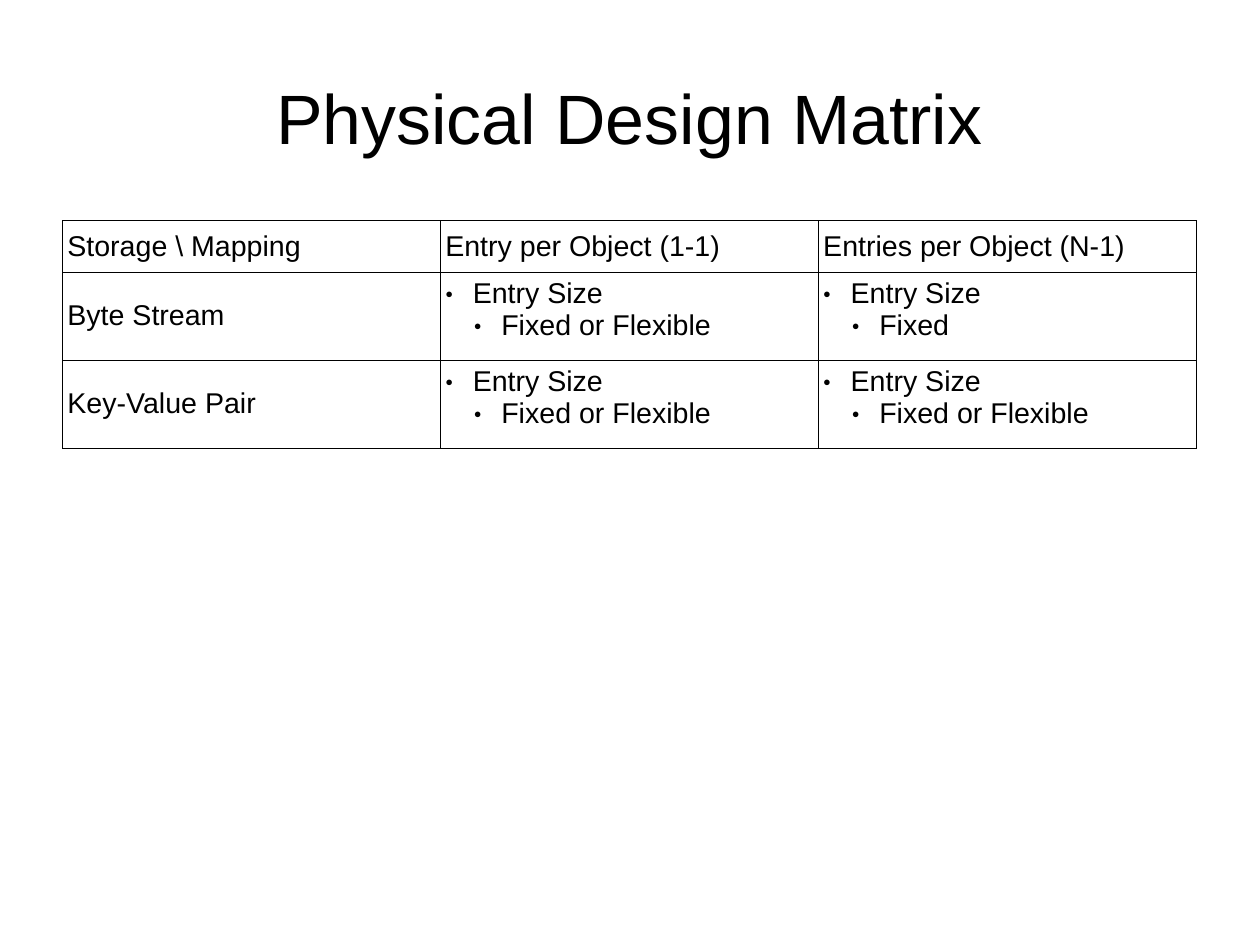
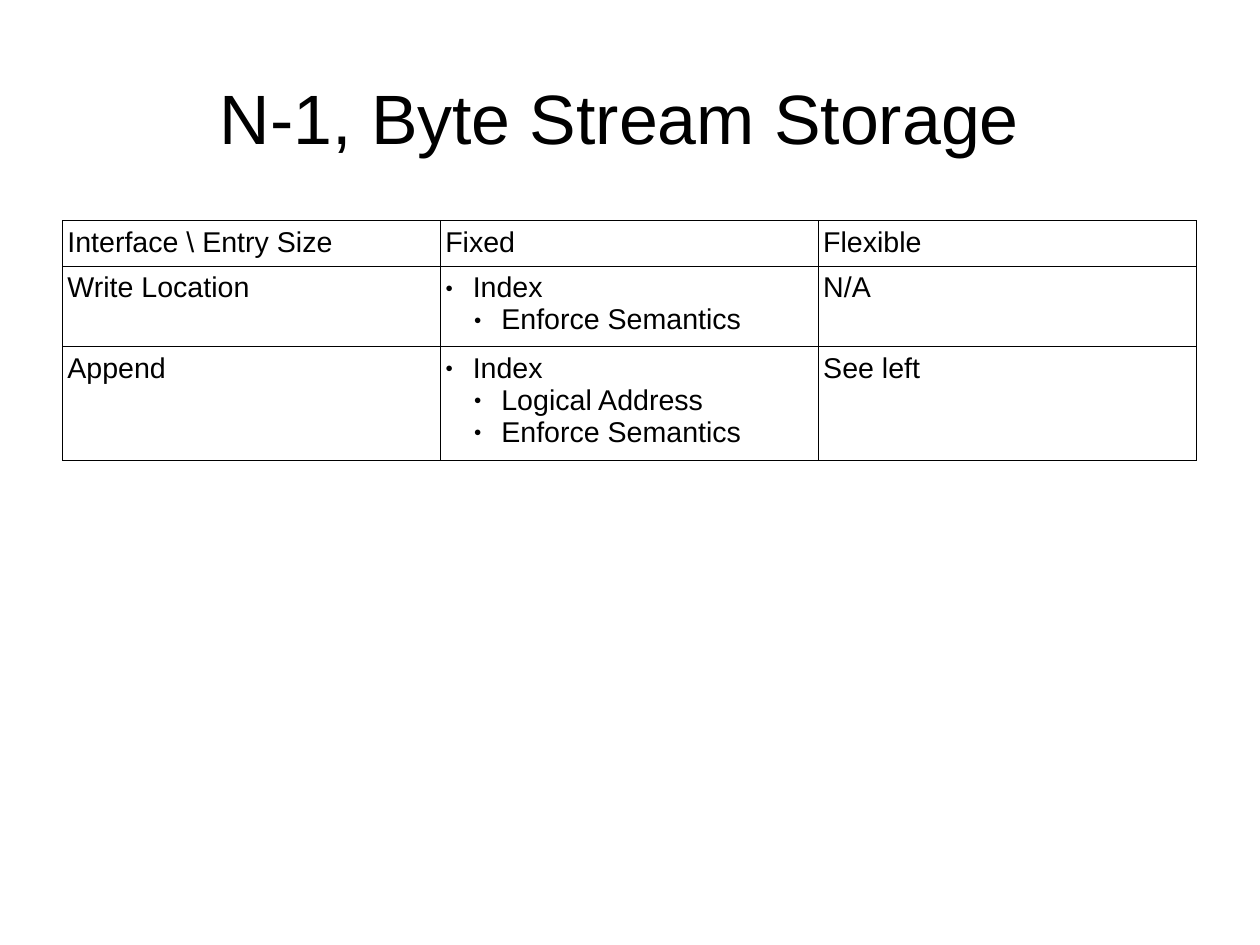
from pptx import Presentation
from pptx.dml.color import RGBColor
from pptx.enum.text import MSO_ANCHOR, MSO_AUTO_SIZE, PP_ALIGN
from pptx.oxml.ns import qn
from pptx.util import Cm, Inches, Pt
from lxml.etree import SubElement

# Content: a string is a plain cell, a list holds (level, text) bullets
FLEXIBLE_ENTRY = [(0, "Entry Size"), (1, "Fixed or Flexible")]
SLIDES = [
    {
        "title": "Physical Design Matrix",
        "label_anchor": MSO_ANCHOR.MIDDLE,
        "heights": [0.45, 0.77, 0.77],
        "rows": [
            ["Storage \\ Mapping", "Entry per Object (1-1)", "Entries per Object (N-1)"],
            ["Byte Stream", FLEXIBLE_ENTRY, [(0, "Entry Size"), (1, "Fixed")]],
            ["Key-Value Pair", FLEXIBLE_ENTRY, FLEXIBLE_ENTRY],
        ],
    },
    {
        "title": "N-1, Byte Stream Storage ",
        "label_anchor": MSO_ANCHOR.TOP,
        "heights": [0.4, 0.7, 1.0],
        "rows": [
            ["Interface \\ Entry Size", "Fixed", "Flexible"],
            ["Write Location", [(0, "Index"), (1, "Enforce Semantics")], "N/A"],
            ["Append",
             [(0, "Index"), (1, "Logical Address"), (1, "Enforce Semantics")],
             "See left"],
        ],
    },
]

# Shared style; the page is a metric format of 28 by 21 cm
PAGE_WIDTH, PAGE_HEIGHT = Cm(28), Cm(21)
BLACK = RGBColor(0, 0, 0)
WHITE = RGBColor(255, 255, 255)
FONT = "Arial"
LEFT, WIDTH = Inches(0.55), Inches(9.92)
TITLE_TOP, TITLE_HEIGHT = Inches(0.33), Inches(1.38)
TABLE_TOP = Inches(1.93)
BULLET_INDENTS = [0.24, 0.49]
BULLET_HANG = Inches(0.24)


def add_run(paragraph, text, size):
    run = paragraph.add_run()
    run.text = text
    run.font.name = FONT
    run.font.size = Pt(size)
    run.font.bold = False
    run.font.color.rgb = BLACK


def add_bullet(paragraph, level):
    properties = paragraph._p.get_or_add_pPr()
    properties.set("marL", str(Inches(BULLET_INDENTS[level])))
    properties.set("indent", str(-BULLET_HANG))
    color = SubElement(properties, qn("a:buClr"))
    SubElement(color, qn("a:srgbClr"), val=str(BLACK))
    SubElement(properties, qn("a:buSzPct"), val="45000")
    SubElement(properties, qn("a:buFont"), typeface=FONT)
    SubElement(properties, qn("a:buChar"), char="●")


def add_borders(cell):
    properties = cell._tc.get_or_add_tcPr()
    for side in ("lnL", "lnR", "lnT", "lnB"):
        line = SubElement(properties, qn(f"a:{side}"), w=str(Pt(0.57)))
        fill = SubElement(line, qn("a:solidFill"))
        SubElement(fill, qn("a:srgbClr"), val=str(BLACK))


def fill_cell(cell, content, label_anchor):
    cell.margin_left = cell.margin_right = Inches(0.04)
    cell.margin_top = cell.margin_bottom = Inches(0.05)
    add_borders(cell)
    cell.fill.background()
    frame = cell.text_frame
    if isinstance(content, str):
        cell.vertical_anchor = label_anchor
        add_run(frame.paragraphs[0], content, 18)
        return
    cell.vertical_anchor = MSO_ANCHOR.TOP
    for index, (level, text) in enumerate(content):
        paragraph = frame.add_paragraph() if index else frame.paragraphs[0]
        add_bullet(paragraph, level)
        add_run(paragraph, text, 18)


def set_title(slide, text):
    title = slide.shapes.title
    title.left, title.top = LEFT, TITLE_TOP
    title.width, title.height = WIDTH, TITLE_HEIGHT
    frame = title.text_frame
    frame.margin_left = frame.margin_right = 0
    frame.margin_top = frame.margin_bottom = 0
    frame.vertical_anchor = MSO_ANCHOR.MIDDLE
    frame.auto_size = MSO_AUTO_SIZE.SHAPE_TO_FIT_TEXT
    frame.word_wrap = True
    paragraph = frame.paragraphs[0]
    paragraph.alignment = PP_ALIGN.CENTER
    add_run(paragraph, text, 44)


def add_matrix(slide, rows, heights, label_anchor):
    frame = slide.shapes.add_table(
        len(rows), len(rows[0]), LEFT, TABLE_TOP, WIDTH, Inches(sum(heights)))
    table = frame.table
    table.first_row = table.horz_banding = False
    for row, height, contents in zip(table.rows, heights, rows):
        row.height = Inches(height)
        for cell, content in zip(row.cells, contents):
            fill_cell(cell, content, label_anchor)


def main():
    presentation = Presentation()
    presentation.slide_width = PAGE_WIDTH
    presentation.slide_height = PAGE_HEIGHT
    background = presentation.slide_master.background.fill
    background.solid()
    background.fore_color.rgb = WHITE
    for content in SLIDES:
        slide = presentation.slides.add_slide(presentation.slide_layouts[5])
        set_title(slide, content["title"])
        add_matrix(slide, content["rows"], content["heights"], content["label_anchor"])
    presentation.save("out.pptx")


if __name__ == "__main__":
    main()
